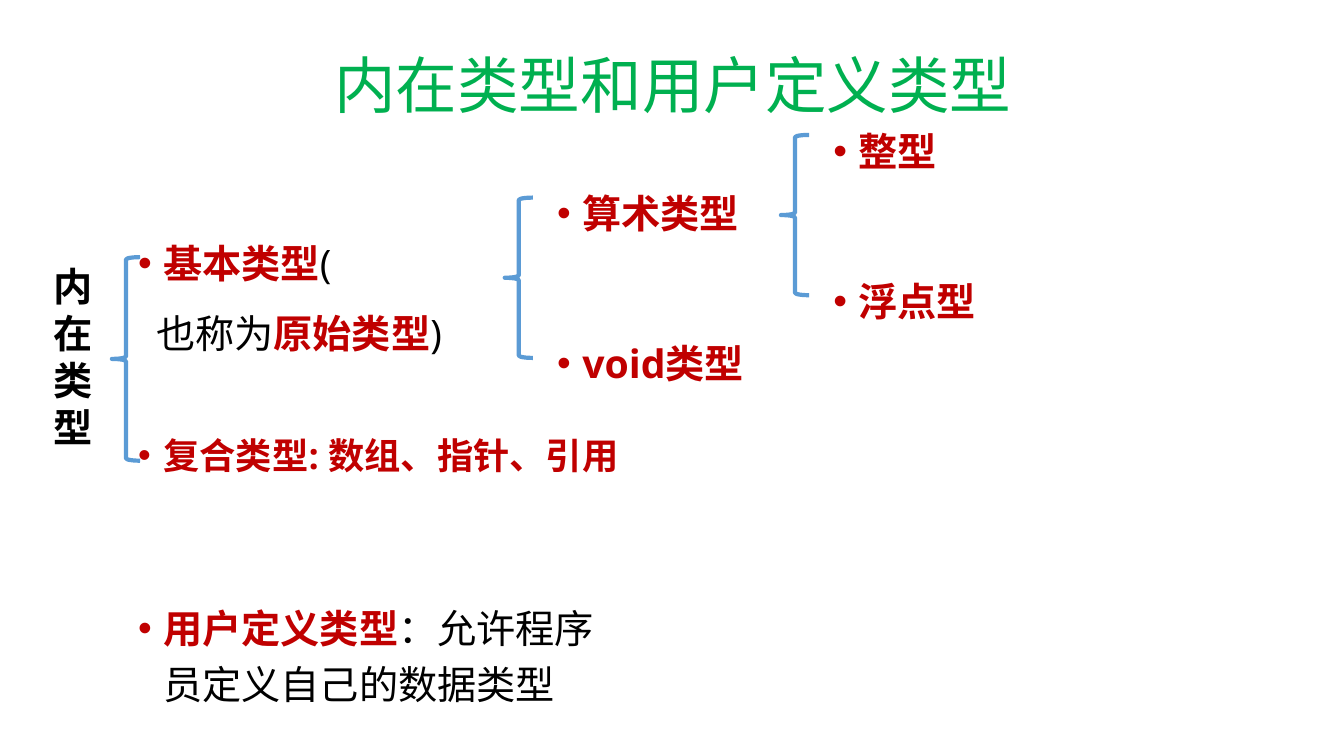
from dataclasses import dataclass

from pptx import Presentation
from pptx import util as u
from pptx.dml.color import RGBColor
from pptx.enum import shapes, text
from pptx.oxml import ns
from lxml import etree

Cm, Pt = u.Cm, u.Pt


@dataclass(frozen=True)
class Theme:
    green: str = "00B050"
    red: str = "C00000"
    black: str = "000000"
    blue: str = "5B9BD5"
    font: str = "Open Sans"
    side_font: str = "Calibri"
    title: float = 44
    body: float = 28
    compound: float = 25.9
    brace: float = 3


T = Theme()


# Text
def add_box(s, x, y, w, h):
    tf = s.shapes.add_textbox(Cm(x), Cm(y), Cm(w), Cm(h)).text_frame
    tf.word_wrap = True
    return tf


def add_run(p, words, size=T.body, color=T.black, bold=False, font=T.font):
    r = p.add_run()
    r.text = words
    r.font.size = Pt(size)
    r.font.bold = bold
    r.font.name = font
    r.font.color.rgb = RGBColor.from_string(color)
    ea = etree.SubElement(r.font._element, ns.qn("a:ea"))
    ea.set("typeface", font)


def set_indent(p, left, first):
    pPr = p._p.get_or_add_pPr()
    pPr.set("marL", str(Cm(left)))
    pPr.set("indent", str(Cm(first)))
    return pPr


def space_lines(p):
    p.line_spacing = 1.2
    p.space_before = Pt(10)


def add_bullet(s, x, y, w, h, term, rest="", size=T.body):
    tf = add_box(s, x, y, w, h)
    p = tf.paragraphs[0]
    space_lines(p)
    pPr = set_indent(p, 0.64, -0.64)
    etree.SubElement(pPr, ns.qn("a:buFont")).set("typeface", "Arial")
    etree.SubElement(pPr, ns.qn("a:buChar")).set("char", "•")
    add_run(p, term, size, T.red, True)
    if rest:
        add_run(p, rest, size)
    return tf


# Braces
def add_brace(s, x, y, h):
    sp = s.shapes.add_shape(shapes.MSO_SHAPE.LEFT_BRACE, Cm(x), Cm(y), Cm(0.71), Cm(h))
    sp.shadow.inherit = False
    sp.fill.background()
    sp.line.color.rgb = RGBColor.from_string(T.blue)
    sp.line.width = Pt(T.brace)


def add_branch(s, x, y, terms):
    """A brace with one bulleted term at each end."""
    for i, term in enumerate(terms):
        add_bullet(s, x, y + 3.78 * i, 6.96, 1.63, term)
    add_brace(s, x - 1.07, y + 0.56, 4.04)


def main():
    prs = Presentation()
    prs.slide_width, prs.slide_height = Cm(33.87), Cm(19.05)
    s = prs.slides.add_slide(prs.slide_layouts[6])

    # Title
    tf = add_box(s, 2.36, 0.69, 29.21, 3.1)
    tf.vertical_anchor = text.MSO_ANCHOR.MIDDLE
    p = tf.paragraphs[0]
    p.alignment = text.PP_ALIGN.CENTER
    p.line_spacing = 0.9
    add_run(p, "内在类型和用户定义类型", T.title, T.green)

    # Built-in types: the narrow box stacks the characters
    tf = add_box(s, 1.09, 6.48, 1.7, 5.05)
    add_run(tf.paragraphs[0], "内在类型", bold=True, font=T.side_font)
    add_brace(s, 2.82, 6.48, 5.13)

    # Basic and compound types
    tf = add_bullet(s, 3.23, 5.66, 8.99, 3.33, "基本类型", "(")
    p = tf.add_paragraph()
    space_lines(p)
    set_indent(p, 0, 0.46)
    add_run(p, "也称为")
    add_run(p, "原始类型", color=T.red, bold=True)
    add_run(p, ")")
    add_bullet(s, 3.23, 10.57, 12.93, 2.06, "复合类型: 数组、指针、引用", size=T.compound)

    # Branches of the basic types
    add_branch(s, 13.79, 4.42, ["算术类型", "void类型"])
    add_branch(s, 20.75, 2.84, ["整型", "浮点型"])

    # User-defined types
    add_bullet(s, 3.23, 14.86, 12.45, 3.25, "用户定义类型", "：允许程序员定义自己的数据类型")

    prs.save("out.pptx")


if __name__ == "__main__":
    main()
